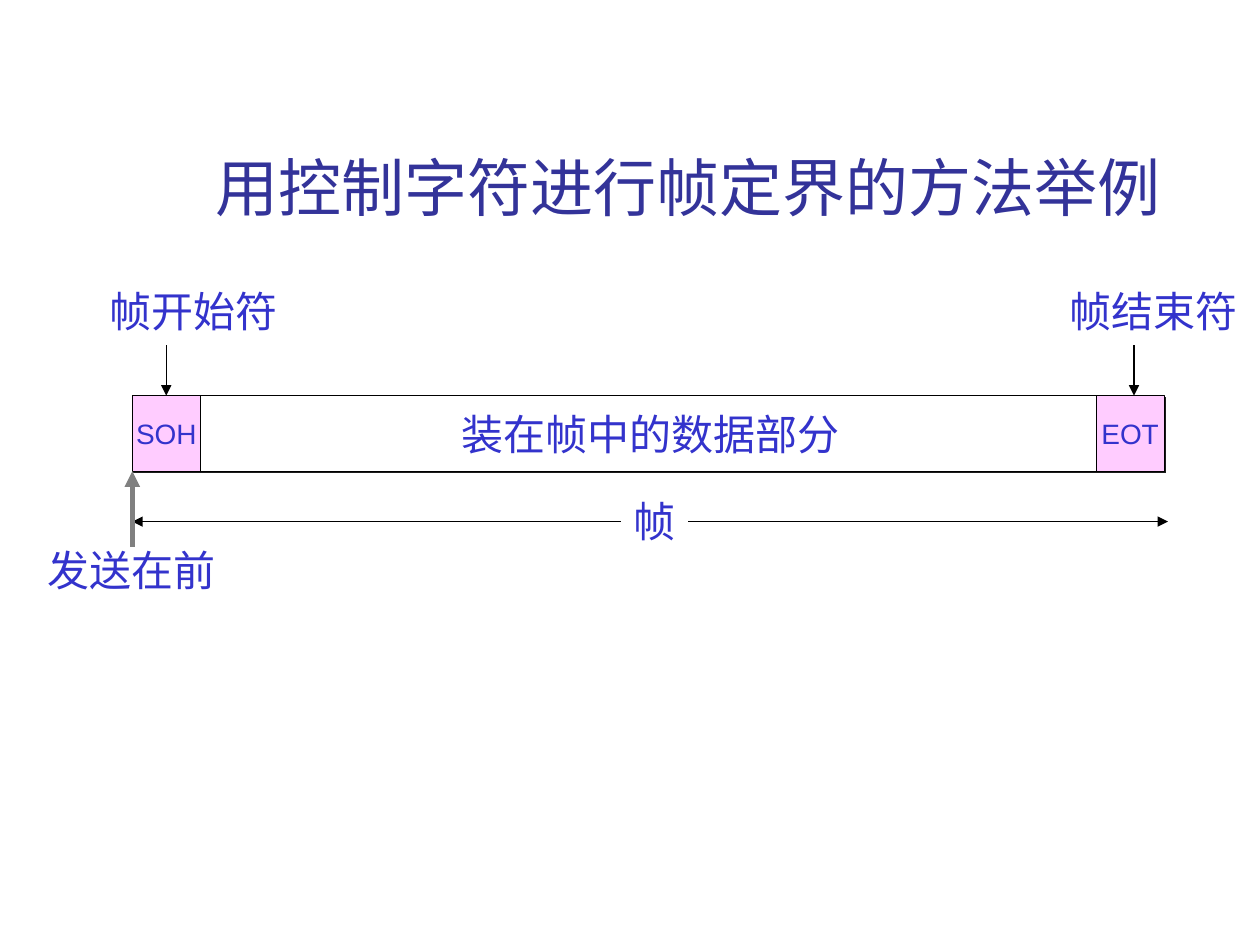
import pptx
import pptx.util
import pptx.dml.color
import pptx.enum.shapes
import pptx.enum.text
import pptx.oxml
import pptx.oxml.ns

Inches = pptx.util.Inches
Pt = pptx.util.Pt
RGBColor = pptx.dml.color.RGBColor
ALIGN = pptx.enum.text.PP_ALIGN
ANCHOR = pptx.enum.text.MSO_ANCHOR
RECT = pptx.enum.shapes.MSO_SHAPE.RECTANGLE
STRAIGHT = pptx.enum.shapes.MSO_CONNECTOR.STRAIGHT

NAVY = RGBColor(0x33, 0x33, 0x99)
BLUE = RGBColor(0x33, 0x33, 0xCC)
PINK = RGBColor(0xFF, 0xCC, 0xFF)
WHITE = RGBColor(0xFF, 0xFF, 0xFF)
BLACK = RGBColor(0, 0, 0)
GRAY = RGBColor(0x80, 0x80, 0x80)
SHADE = (
    '<a:outerShdw %s dist="17780" dir="2700000" algn="ctr" rotWithShape="0">'
    '<a:srgbClr val="1C1C1C"/></a:outerShdw>' % pptx.oxml.ns.nsdecls("a")
)


def write(shape, text, size, color, align):
    frame = shape.text_frame
    frame.text = text
    par = frame.paragraphs[0]
    par.alignment = align
    par.font.size = Pt(size)
    par.font.name = "Arial"
    par.font.color.rgb = color
    return frame


def add_title(slide, text, left, top, width, height):
    title = slide.shapes.title
    title.left, title.top = Inches(left), Inches(top)
    title.width, title.height = Inches(width), Inches(height)
    frame = write(title, text, 36, NAVY, ALIGN.CENTER)
    frame.vertical_anchor = ANCHOR.BOTTOM


def add_field(slide, text, size, fill, left, top, width, height):
    """One bordered field of the frame, with a hard drop shadow."""
    field = slide.shapes.add_shape(
        RECT, Inches(left), Inches(top), Inches(width), Inches(height))
    field.fill.solid()
    field.fill.fore_color.rgb = fill
    field.line.color.rgb = BLACK
    field.line.width = Pt(0.75)
    field.shadow.inherit = False
    effects = field._element.spPr.find(pptx.oxml.ns.qn("a:effectLst"))
    effects.append(pptx.oxml.parse_xml(SHADE))
    frame = write(field, text, size, BLUE, ALIGN.CENTER)
    frame.vertical_anchor = ANCHOR.MIDDLE
    frame.word_wrap = False


def add_label(slide, text, left, top, width, fill=None):
    label = slide.shapes.add_textbox(
        Inches(left), Inches(top), Inches(width), Inches(0.5))
    if fill is not None:
        label.fill.solid()
        label.fill.fore_color.rgb = fill
    frame = write(label, text, 24, BLUE, ALIGN.LEFT)
    frame.word_wrap = False
    frame.auto_size = pptx.enum.text.MSO_AUTO_SIZE.SHAPE_TO_FIT_TEXT


def add_arrow(slide, start, end, color=BLACK, width=0.75, ends=("tailEnd",)):
    points = [Inches(value) for value in (*start, *end)]
    arrow = slide.shapes.add_connector(STRAIGHT, *points)
    arrow.line.color.rgb = color
    arrow.line.width = Pt(width)
    line = arrow.line._get_or_add_ln()
    for end_tag in ends:
        tip = pptx.oxml.ns.qn("a:" + end_tag)
        line.append(line.makeelement(tip, {"type": "triangle"}))
    props = arrow._element.spPr
    props.append(props.makeelement(pptx.oxml.ns.qn("a:effectLst"), {}))


def add_frame(slide, left, top, width, height):
    """The frame with its two control fields, labels and arrows."""
    cell = 0.54
    right = left + width
    base = top + height
    last = right - cell
    span = top + 1

    add_field(slide, "SOH", 16, PINK, left, top, cell, height)
    add_field(slide, "装在帧中的数据部分", 24, WHITE,
              left + cell, top, 7.14, height)
    add_arrow(slide, (left, span), (right + 0.03, span),
              ends=("headEnd", "tailEnd"))
    add_label(slide, "帧", left + 3.88, span - 0.26, 0.53, WHITE)

    marks = (("帧开始符", left - 0.28, left + cell / 2),
             ("帧结束符", last - 0.31, last + 0.3))
    for text, edge, tip in marks:
        add_label(slide, text, edge, top - 0.92, 1.53)
        add_arrow(slide, (tip, top - 0.4), (tip, top))

    add_arrow(slide, (left, base + 0.6), (left, base), GRAY, 3)
    add_label(slide, "发送在前", left - 0.77, base + 0.53, 1.53)
    add_field(slide, "EOT", 16, PINK, last, top, cell, height)


def main():
    deck = pptx.Presentation()
    deck.slide_width, deck.slide_height = Inches(10), Inches(7.5)
    slide = deck.slides.add_slide(deck.slide_layouts[5])
    add_title(slide, "用控制字符进行帧定界的方法举例 ", 1.26, 0.23, 8.52, 1.6)
    add_frame(slide, 1.05, 3.14, 8.19, 0.6)
    deck.save("out.pptx")


if __name__ == "__main__":
    main()
